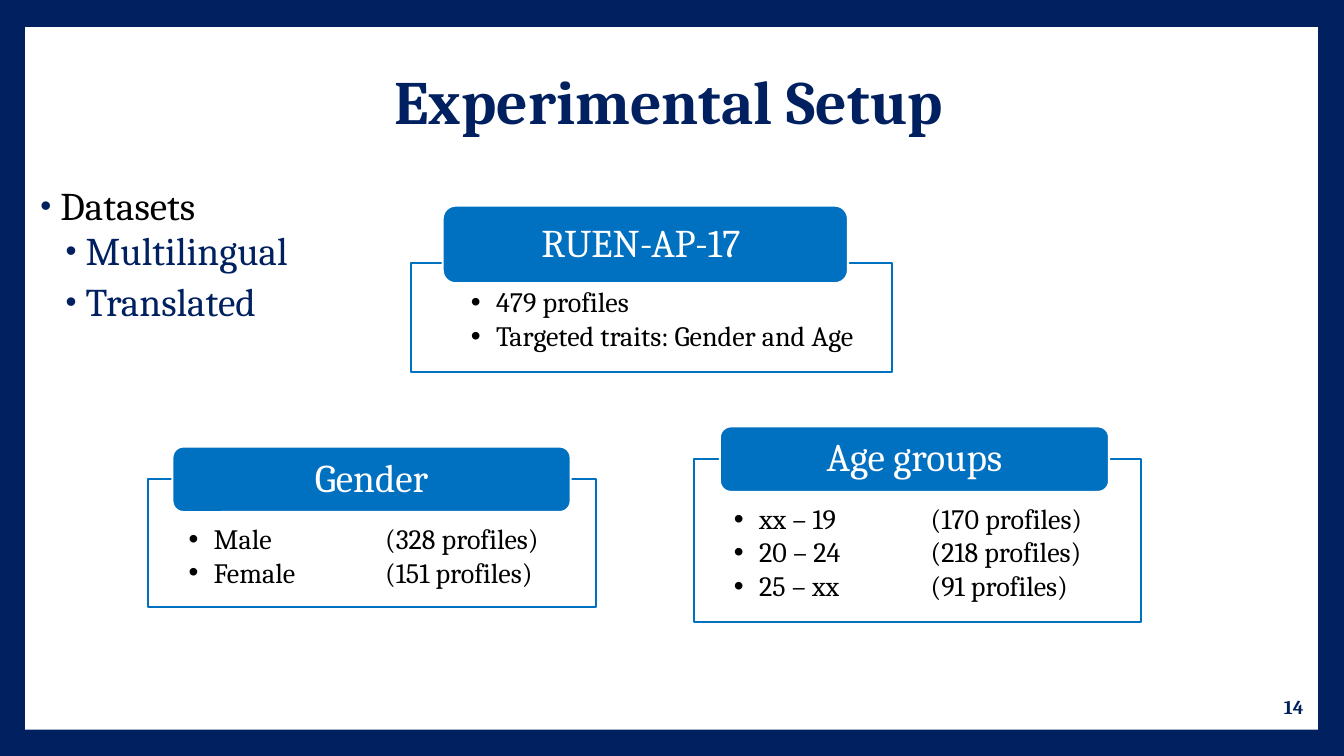
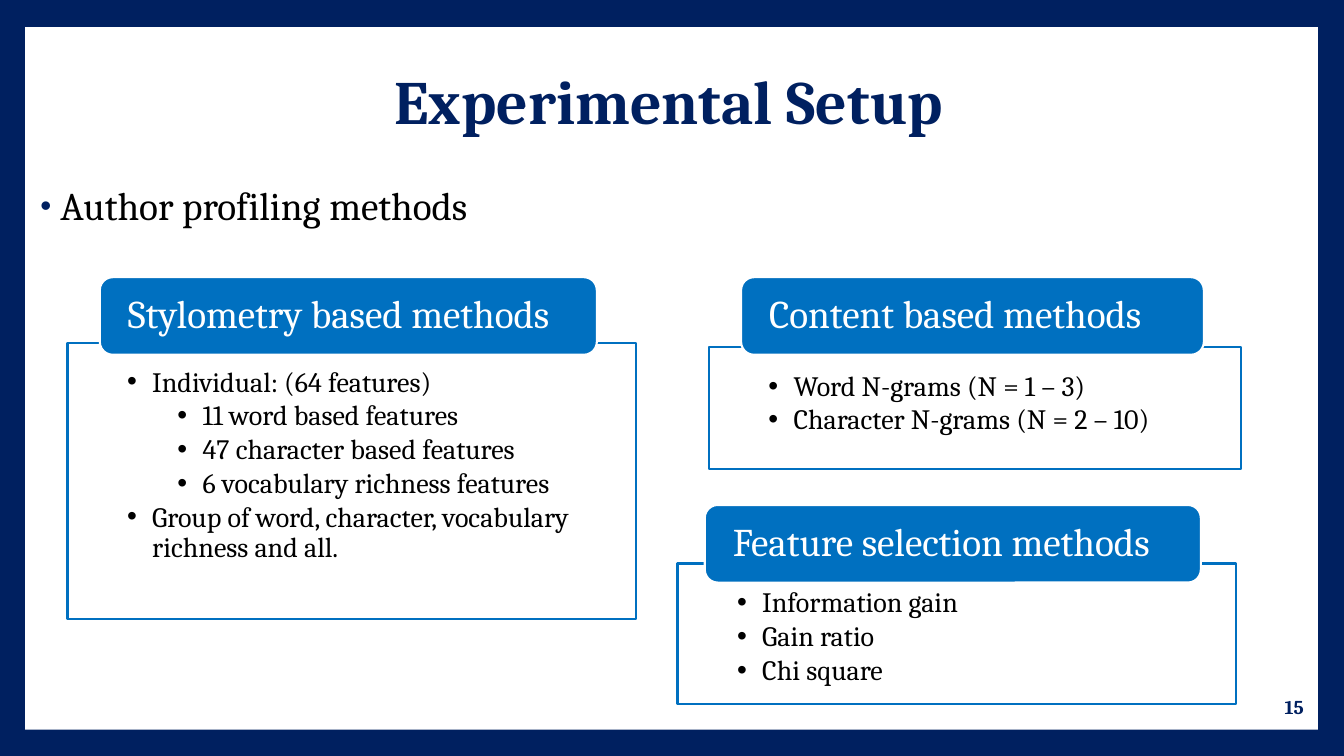
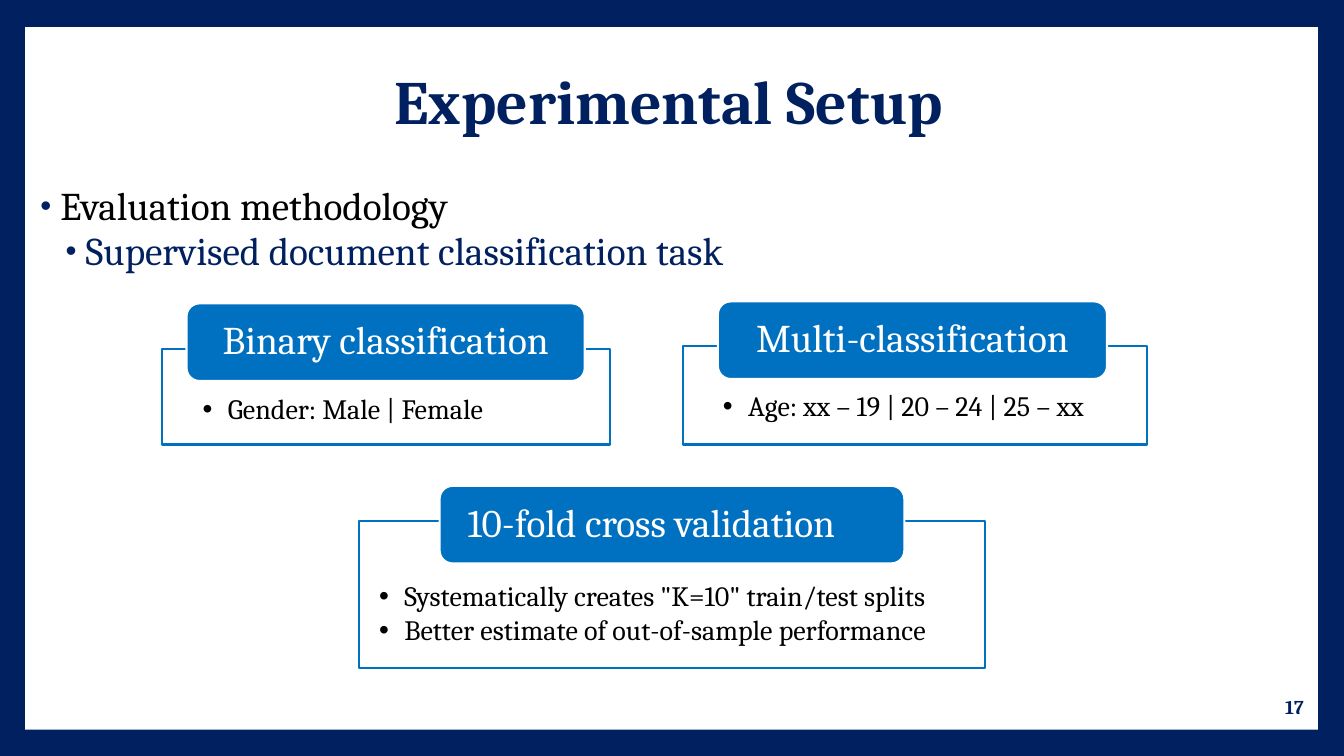
from dataclasses import dataclass

from lxml import etree
from pptx import Presentation
from pptx import util as u
from pptx.dml.color import RGBColor
from pptx.enum import shapes, text
from pptx.oxml import ns


@dataclass(frozen=True)
class Theme:
    font: str = "Cambria"
    navy: str = "002060"
    blue: str = "0070C0"
    white: str = "FFFFFF"
    black: str = "000000"
    title_size: int = 44
    heading_size: int = 28
    detail_size: int = 20
    number_size: int = 14
    line_width: float = 1.5


@dataclass(frozen=True)
class Box:
    left: float
    top: float
    width: float
    height: float

    def lengths(self) -> list[u.Length]:
        return [u.Inches(side) for side in (self.left, self.top, self.width, self.height)]


@dataclass(frozen=True)
class Insets:
    left: float
    top: float
    right: float
    bottom: float = 0.16


@dataclass(frozen=True)
class Item:
    text: str
    level: int = 0


@dataclass(frozen=True)
class Card:
    heading: str
    tab: Box
    panel: Box
    insets: Insets
    items: list[Item]
    centred: bool = False


@dataclass(frozen=True)
class Page:
    number: int
    topics: list[Item]
    cards: list[Card]


THEME = Theme()
TITLE = "Experimental Setup"
TITLE_BOX = Box(0.25, 0.4, 12.77, 1.28)
BODY_BOX = Box(0.25, 1.8, 12.77, 4.86)
NUMBER_BOX = Box(11.16, 6.81, 1.87, 0.4)
PAPER_BOX = Box(0.25, 0.27, 12.82, 6.97)
TAB_INSETS = Insets(0.24, 0.04, 0.24, 0.04)
NARROW = Insets(0.4, 0.46, 0.4)
WIDE = Insets(0.59, 0.25, 0.59)
COLUMN_STOP = 1.95

PAGES = [
    Page(14, [Item("Datasets"), Item("Multilingual", 1), Item("Translated", 1)], [
        Card("Gender", Box(1.71, 4.43, 3.95, 0.65), Box(1.47, 4.75, 4.44, 1.27), NARROW,
             [Item("Male\t(328 profiles)"), Item("Female\t(151 profiles)")], True),
        Card("Age groups", Box(7.14, 4.23, 3.86, 0.65), Box(6.88, 4.55, 4.44, 1.62), NARROW,
             [Item("xx – 19\t(170 profiles)"), Item("20 – 24\t(218 profiles)"),
              Item("25 – xx\t(91 profiles)")], True),
        Card("RUEN-AP-17 ", Box(4.39, 2.04, 4.02, 0.77), Box(4.08, 2.61, 4.77, 1.08),
             Insets(0.59, 0.25, 0),
             [Item("479 profiles"), Item("Targeted traits: Gender and Age")], True),
    ]),
    Page(15, [Item("Author profiling methods")], [
        Card("Stylometry based methods", Box(0.99, 2.75, 4.93, 0.77),
             Box(0.67, 3.4, 5.64, 2.74), WIDE,
             [Item("Individual: (64 features)"), Item("11 word based features", 1),
              Item("47 character based features", 1),
              Item("6 vocabulary richness features", 1),
              Item("Group of word, character, vocabulary richness and all.")]),
        Card("Content based methods", Box(7.35, 2.75, 4.59, 0.77),
             Box(7.03, 3.44, 5.28, 1.21), WIDE,
             [Item("Word N-grams (N = 1 – 3)"), Item("Character N-grams (N = 2 – 10)")]),
        Card("Feature selection methods", Box(6.99, 5.01, 4.92, 0.77),
             Box(6.72, 5.59, 5.54, 1.39), WIDE,
             [Item("Information gain"), Item("Gain ratio"), Item("Chi square")]),
    ]),
    Page(17, [Item("Evaluation methodology"),
              Item("Supervised document classification task", 1)], [
        Card("Binary classification", Box(1.85, 3.01, 3.95, 0.77),
             Box(1.61, 3.46, 4.44, 0.95), NARROW, [Item("Gender: Male | Female")], True),
        Card("Multi-classification", Box(7.12, 2.99, 3.86, 0.77),
             Box(6.77, 3.43, 4.61, 0.98), NARROW,
             [Item("Age: xx – 19 | 20 – 24 | 25 – xx")], True),
        Card("10-fold cross validation", Box(4.36, 4.82, 4.61, 0.77),
             Box(3.56, 5.17, 6.21, 1.46), Insets(0.2, 0.61, 0),
             [Item('Systematically creates "K=10" train/test splits'),
              Item("Better estimate of out-of-sample performance")]),
    ]),
]


def rgb(colour: str) -> RGBColor:
    return RGBColor.from_string(colour)


def write(para, words: str, size: int, colour: str, bold: bool = False) -> None:
    para.text = words
    for span in para.runs:
        span.font.name = THEME.font
        span.font.size = u.Pt(size)
        span.font.bold = bold
        span.font.color.rgb = rgb(colour)


def add_child(parent, tag: str, **attributes: str):
    child = etree.SubElement(parent, ns.qn(tag))
    for name, value in attributes.items():
        child.set(name, value)
    return child


def set_bullet(para, margin: float, hang: float, colour: str, percent: int) -> None:
    props = para._p.get_or_add_pPr()
    props.set("marL", str(u.Inches(margin)))
    props.set("indent", str(-u.Inches(hang)))
    add_child(add_child(props, "a:buClr"), "a:srgbClr", val=colour)
    add_child(props, "a:buSzPct", val=str(percent * 1000))
    add_child(props, "a:buFont", typeface="Arial")
    add_child(props, "a:buChar", char="•")


def paragraphs(frame, items: list[Item]):
    """Yield each item with a paragraph of its own."""
    for index, item in enumerate(items):
        yield item, frame.add_paragraph() if index else frame.paragraphs[0]


def place(shape, box: Box) -> None:
    shape.left, shape.top, shape.width, shape.height = box.lengths()


def add_box(page, kind, box: Box, fill: str, line: str | None, insets: Insets):
    shape = page.shapes.add_shape(kind, *box.lengths())
    shape.shadow.inherit = False
    shape.fill.solid()
    shape.fill.fore_color.rgb = rgb(fill)
    if line:
        shape.line.color.rgb = rgb(line)
        shape.line.width = u.Pt(THEME.line_width)
    else:
        shape.line.fill.background()
    frame = shape.text_frame
    frame.word_wrap = True
    frame.margin_left, frame.margin_top = u.Inches(insets.left), u.Inches(insets.top)
    frame.margin_right, frame.margin_bottom = u.Inches(insets.right), u.Inches(insets.bottom)
    return shape


def add_card(page, card: Card) -> None:
    panel = add_box(page, shapes.MSO_SHAPE.RECTANGLE, card.panel, THEME.white,
                    THEME.blue, card.insets)
    panel.text_frame.vertical_anchor = text.MSO_ANCHOR.TOP
    for item, para in paragraphs(panel.text_frame, card.items):
        write(para, item.text, THEME.detail_size, THEME.black)
        para.alignment = text.PP_ALIGN.LEFT
        para.line_spacing = 0.9
        para.space_after = u.Pt(2.5)
        set_bullet(para, 0.25 + 0.5 * item.level, 0.25, THEME.black, 100)
        if "\t" in item.text:
            stops = add_child(para._p.pPr, "a:tabLst")
            add_child(stops, "a:tab", pos=str(u.Inches(COLUMN_STOP)), algn="l")

    tab = add_box(page, shapes.MSO_SHAPE.ROUNDED_RECTANGLE, card.tab, THEME.blue,
                  THEME.white, TAB_INSETS)
    tab.text_frame.vertical_anchor = text.MSO_ANCHOR.MIDDLE
    para = tab.text_frame.paragraphs[0]
    write(para, card.heading, THEME.heading_size, THEME.white)
    para.line_spacing = 0.9
    para.alignment = text.PP_ALIGN.CENTER if card.centred else text.PP_ALIGN.LEFT


def add_topics(body, topics: list[Item]) -> None:
    for item, para in paragraphs(body.text_frame, topics):
        nested = item.level > 0
        write(para, item.text, THEME.heading_size, THEME.navy if nested else THEME.black)
        para.level = item.level
        para.line_spacing = 0.9
        para.space_before = u.Pt(2 if nested else 14)
        para.space_after = u.Pt(4 if nested else 0)
        set_bullet(para, 0.25 * (item.level + 1), 0.2, THEME.navy, 80)


def add_number(page, number: int) -> None:
    box = page.shapes.add_textbox(*NUMBER_BOX.lengths())
    box.text_frame.word_wrap = True
    box.text_frame.vertical_anchor = text.MSO_ANCHOR.MIDDLE
    para = box.text_frame.paragraphs[0]
    write(para, str(number), THEME.number_size, THEME.navy, bold=True)
    para.alignment = text.PP_ALIGN.RIGHT


def add_page(deck, layout, content: Page):
    page = deck.slides.add_slide(layout)
    heading = page.shapes.title.text_frame.paragraphs[0]
    write(heading, TITLE, THEME.title_size, THEME.navy, bold=True)
    heading.alignment = text.PP_ALIGN.CENTER
    heading.line_spacing = 0.9
    add_topics(page.placeholders[1], content.topics)
    add_number(page, content.number)
    for card in content.cards:
        add_card(page, card)
    return page


def style_master(deck, layout, page) -> None:
    """Give the master its navy frame and white paper, and the layout its places."""
    master = deck.slide_master
    master.background.fill.solid()
    master.background.fill.fore_color.rgb = rgb(THEME.navy)
    paper = add_box(page, shapes.MSO_SHAPE.RECTANGLE, PAPER_BOX, THEME.white, None, TAB_INSETS)
    master.shapes.element.insert(2, paper.element)
    for holder, box in zip(layout.placeholders, (TITLE_BOX, BODY_BOX)):
        place(holder, box)
    layout.placeholders[0].text_frame.vertical_anchor = text.MSO_ANCHOR.MIDDLE


def main() -> None:
    deck = Presentation()
    deck.slide_width, deck.slide_height = u.Inches(13.33), u.Inches(7.5)
    layout = deck.slide_layouts[1]
    pages = [add_page(deck, layout, content) for content in PAGES]
    style_master(deck, layout, pages[0])
    deck.save("out.pptx")


if __name__ == "__main__":
    main()
